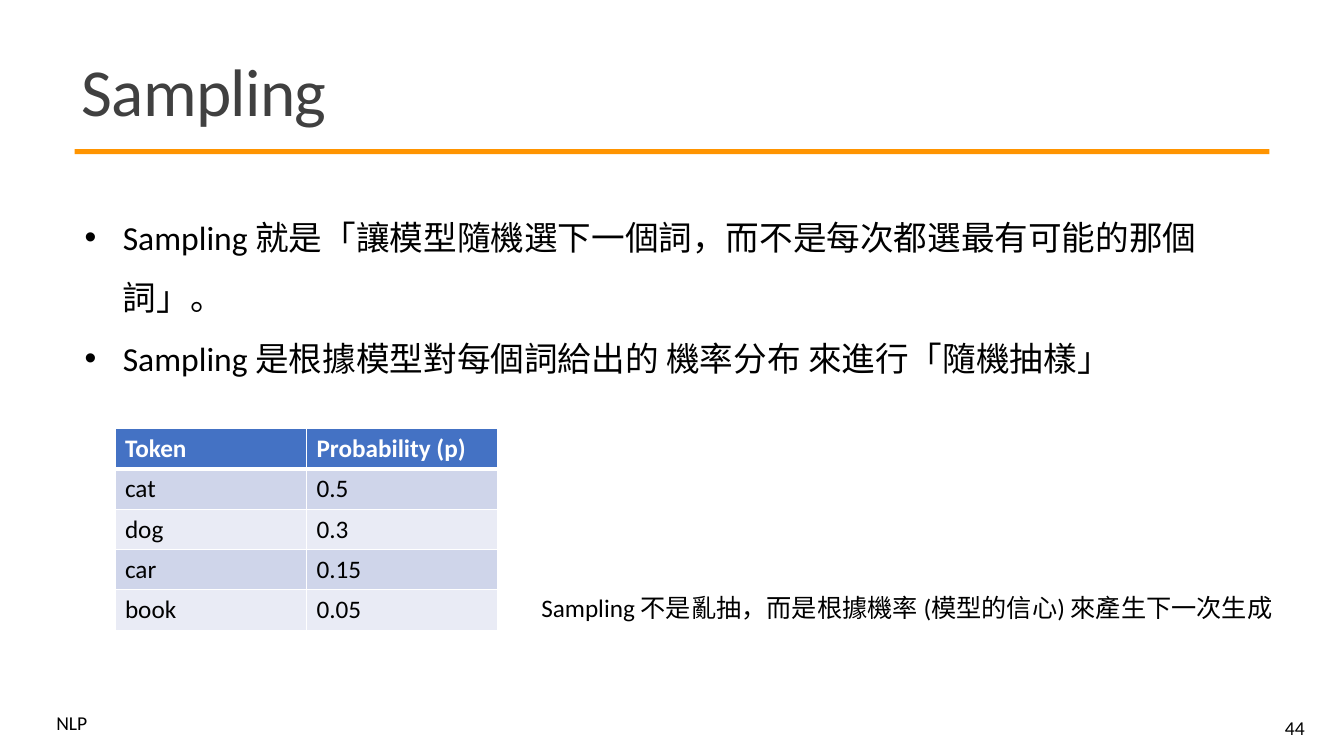
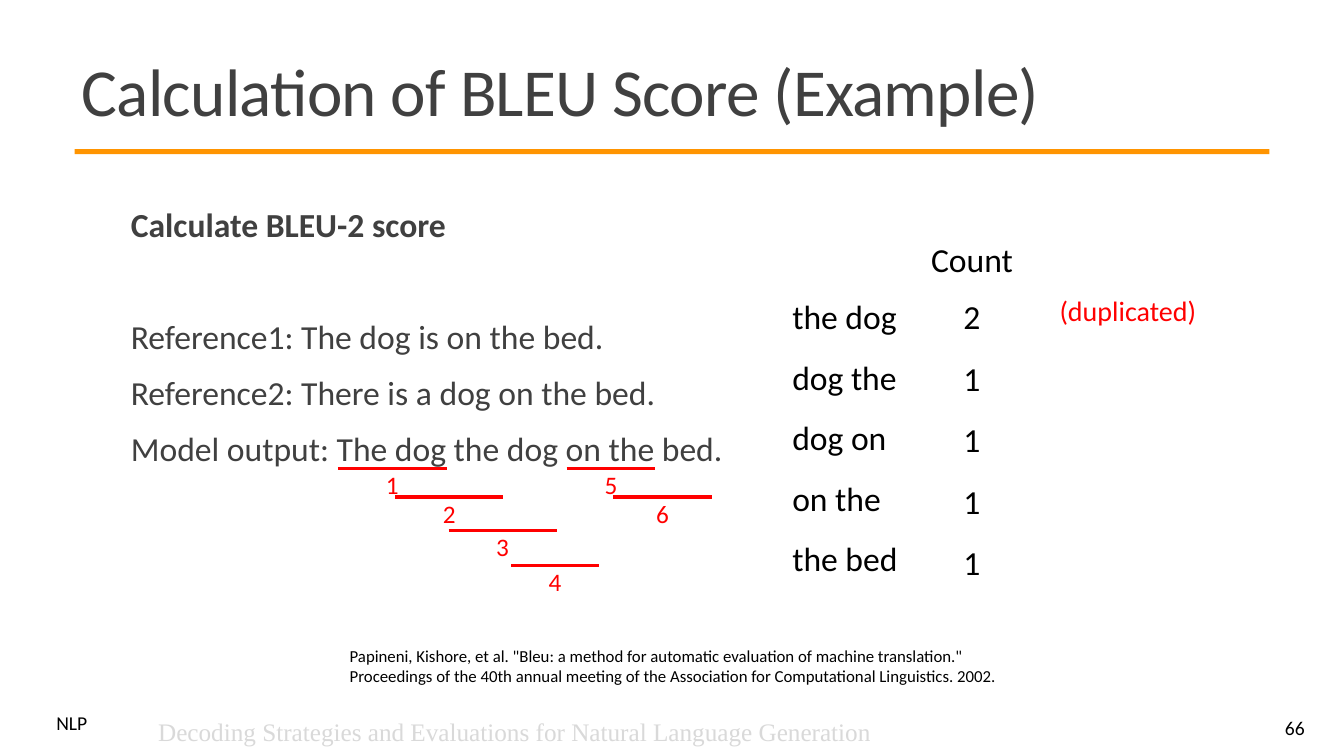
"""Builds two slides on sampling and the BLEU score."""
from lxml.etree import SubElement
from pptx import Presentation
from pptx.dml.color import RGBColor
from pptx.enum.shapes import MSO_CONNECTOR, MSO_SHAPE
from pptx.enum.text import MSO_ANCHOR as Anchor, PP_ALIGN as Align
from pptx.oxml.ns import qn
from pptx.util import Inches, Pt

BLACK = RGBColor(0x00, 0x00, 0x00)
WHITE = RGBColor(0xFF, 0xFF, 0xFF)
CHARCOAL = RGBColor(0x40, 0x40, 0x40)
PALE_GRAY = RGBColor(0xD9, 0xD9, 0xD9)
ORANGE = RGBColor(0xFF, 0x94, 0x00)
RED = RGBColor(0xFF, 0x00, 0x00)
BLUE = RGBColor(0x44, 0x72, 0xC4)
BANDS = (RGBColor(0xCF, 0xD5, 0xEA), RGBColor(0xE9, 0xEB, 0xF5))


class Deck:
    """Holds the shared style and the slide being filled."""

    FONT = "Calibri"

    def __init__(self):
        self.prs = Presentation()
        self.prs.slide_width = Inches(13.33)
        self.prs.slide_height = Inches(7.5)
        self.slide = None

    def new_slide(self, title, number):
        self.slide = self.prs.slides.add_slide(self.prs.slide_layouts[6])
        rule = self.slide.shapes.add_shape(
            MSO_SHAPE.RECTANGLE, Inches(0.74), Inches(1.48), Inches(11.85), Inches(0.05))
        rule.shadow.inherit = False
        rule.fill.solid()
        rule.fill.fore_color.rgb = ORANGE
        rule.line.fill.background()
        self.text(0.46, 7.05, 0.61, 0.29, ["NLP"], 14, spacing=0.8)
        heading = self.text(0.71, 0.39, 11.94, 1.13, [title], 48, CHARCOAL,
                            spacing=0.85, anchor=Anchor.MIDDLE)
        heading.paragraphs[0].runs[0].font._element.set("spc", "-50")
        self.text(11.61, 7.02, 1.43, 0.4, [str(number)], 14,
                  align=Align.RIGHT, anchor=Anchor.MIDDLE)

    def style(self, run, size, color, bold=False, font=FONT):
        run.font.name = font
        run.font.size = Pt(size)
        run.font.bold = bold
        run.font.color.rgb = color

    def text(self, left, top, width, height, lines, size, color=BLACK, align=Align.LEFT,
             spacing=1.0, anchor=Anchor.TOP, font=FONT, bullet=False):
        frame = self.slide.shapes.add_textbox(
            Inches(left), Inches(top), Inches(width), Inches(height)).text_frame
        frame.word_wrap = True
        frame.vertical_anchor = anchor
        for index, line in enumerate(lines):
            para = frame.add_paragraph() if index else frame.paragraphs[0]
            para.alignment = align
            para.line_spacing = spacing
            if bullet:
                props = para._p.get_or_add_pPr()
                props.set("marL", str(Inches(0.38)))
                props.set("indent", str(Inches(-0.38)))
                SubElement(props, qn("a:buFont")).set("typeface", "Arial")
                SubElement(props, qn("a:buChar")).set("char", "•")
            run = para.add_run()
            run.text = line
            self.style(run, size, color, font=font)
        return frame

    def underline(self, start, end, y):
        line = self.slide.shapes.add_connector(
            MSO_CONNECTOR.STRAIGHT, Inches(start), Inches(y), Inches(end), Inches(y))
        line.line.color.rgb = RED
        line.line.width = Pt(2.25)
        SubElement(line._element.spPr, qn("a:effectLst"))

    def border(self, cell, side, width):
        edge = SubElement(cell._tc.get_or_add_tcPr(), qn(f"a:ln{side}"), w=str(Pt(width)))
        fill = SubElement(edge, qn("a:solidFill"))
        SubElement(fill, qn("a:srgbClr"), val=str(WHITE))

    def table(self, left, top, col_width, row_height, rows):
        columns = len(rows[0])
        grid = self.slide.shapes.add_table(
            len(rows), columns, Inches(left), Inches(top),
            Inches(col_width * columns), Inches(row_height * len(rows))).table
        for r, row in enumerate(rows):
            for c, value in enumerate(row):
                cell = grid.cell(r, c)
                header = r == 0
                for side in "LRTB":
                    thick = (r, side) in ((0, "B"), (1, "T"))
                    self.border(cell, side, 3 if thick else 1)
                cell.fill.solid()
                cell.fill.fore_color.rgb = BLUE if header else BANDS[(r - 1) % 2]
                run = cell.text_frame.paragraphs[0].add_run()
                run.text = value
                self.style(run, 18, WHITE if header else BLACK, bold=header)


def sampling(deck):
    deck.new_slide("Sampling", 44)
    deck.text(0.74, 1.9, 11.86, 1.85, [
        "Sampling 就是「讓模型隨機選下一個詞，而不是每次都選最有可能的那個詞」。",
        "Sampling 是根據模型對每個詞給出的 機率分布 來進行「隨機抽樣」",
    ], 24, spacing=1.5, bullet=True)
    deck.table(1.14, 4.25, 1.9, 0.4, [
        ("Token", "Probability (p)"),
        ("cat", "0.5"),
        ("dog", "0.3"),
        ("car", "0.15"),
        ("book", "0.05"),
    ])
    deck.text(5.27, 5.83, 7.52, 0.4,
              ["Sampling 不是亂抽，而是根據機率 (模型的信心) 來產生下一次生成"], 18)


def bleu_example(deck):
    deck.new_slide("Calculation of BLEU Score (Example)", 66)
    example = deck.text(1.2, 2.02, 11, 4.4, [
        "Calculate BLEU-2 score",
        "Reference1: The dog is on the bed.",
        "Reference2: There is a dog on the bed.",
        "Model output: The dog the dog on the bed.",
    ], 24, CHARCOAL, spacing=0.9)
    for para, before in zip(example.paragraphs, (0, 52, 12, 12)):
        para.space_before = Pt(before)
        para.space_after = Pt(2)
    example.paragraphs[0].runs[0].font.bold = True

    bigrams = [(3.35, 4.43, 4.65), (3.92, 4.99, 4.93), (4.45, 5.52, 5.26),
               (5.07, 5.94, 5.61), (5.62, 6.5, 4.65), (6.08, 7.06, 4.93)]
    label_width = 0.41
    for number, (start, end, y) in enumerate(bigrams, 1):
        deck.underline(start, end, y)
        deck.text((start + end - label_width) / 2, y - 0.04, label_width, 0.4,
                  [str(number)], 18, RED, Align.CENTER)

    counts = {"the dog": 2, "dog the": 1, "dog on": 1, "on the": 1, "the bed": 1}
    deck.text(7.76, 2.69, 2.1, 3.07, list(counts), 24, spacing=1.5)
    deck.text(9.02, 2.12, 1.24, 0.64, ["Count"], 24, align=Align.CENTER, spacing=1.5)
    for row, count in enumerate(counts.values()):
        deck.text(9.02, 2.69 + 0.61 * row, 1.24, 0.64, [str(count)], 24,
                  align=Align.CENTER, spacing=1.5)
    deck.text(10.41, 2.86, 1.72, 0.44, ["(duplicated)"], 20, RED)

    deck.text(3.37, 6.36, 6.67, 0.5, [
        'Papineni, Kishore, et al. "Bleu: a method for automatic evaluation of machine '
        'translation." Proceedings of the 40th annual meeting of the Association for '
        'Computational Linguistics. 2002.'], 12)
    deck.text(1.47, 7.06, 7.52, 0.4,
              ["Decoding Strategies and Evaluations for Natural Language Generation"],
              18, PALE_GRAY, font="Times New Roman")


def main():
    deck = Deck()
    sampling(deck)
    bleu_example(deck)
    deck.prs.save("out.pptx")


if __name__ == "__main__":
    main()
